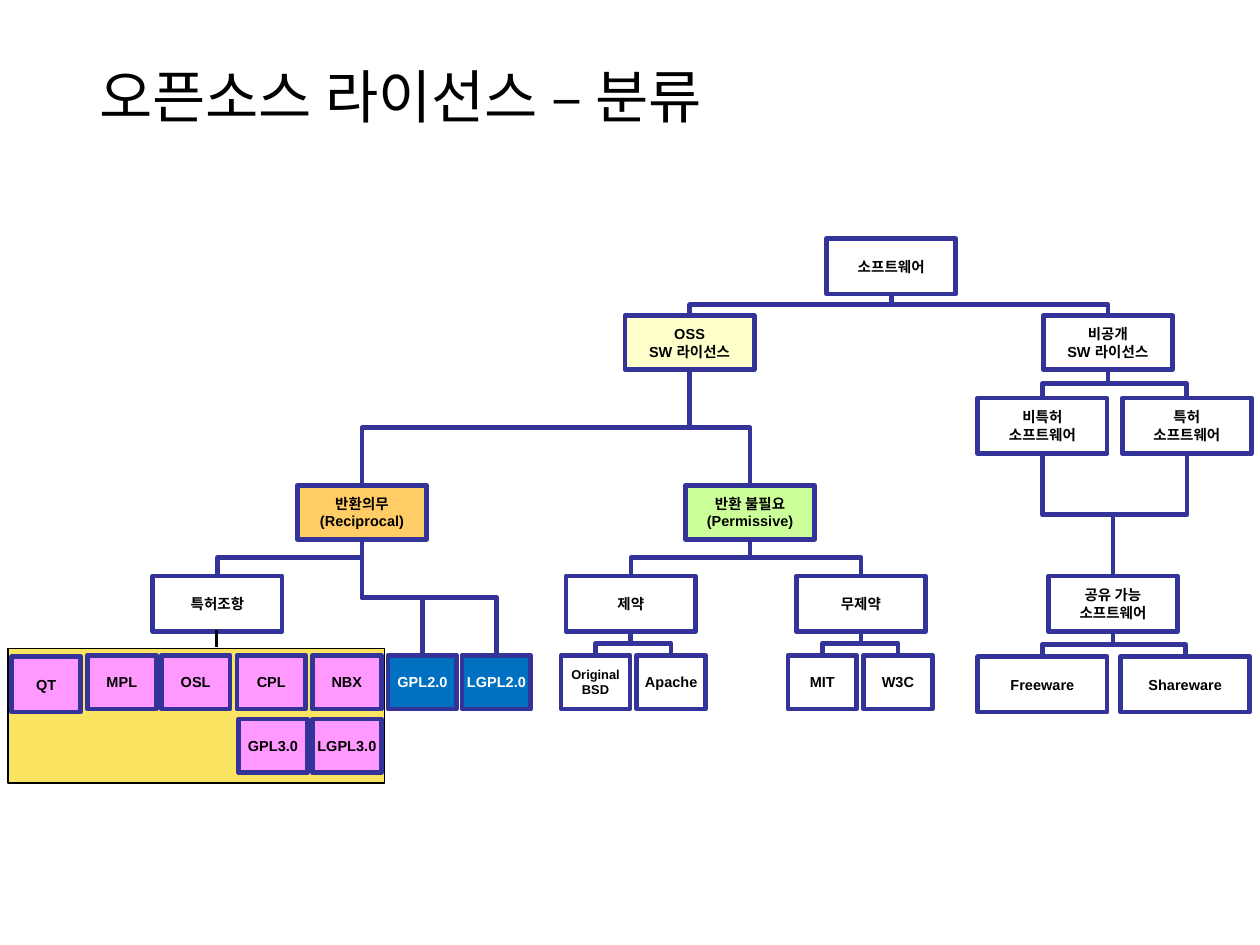
from lxml import etree
from pptx import Presentation
from pptx.dml.color import RGBColor
from pptx.enum.shapes import MSO_CONNECTOR, MSO_SHAPE
from pptx.enum.text import MSO_ANCHOR, MSO_AUTO_SIZE, PP_ALIGN
from pptx.oxml.ns import qn
from pptx.util import Inches, Pt

RECT = MSO_SHAPE.RECTANGLE
ELBOW, STRAIGHT = MSO_CONNECTOR.ELBOW, MSO_CONNECTOR.STRAIGHT
MIDDLE = MSO_ANCHOR.MIDDLE
LEFT, CENTER = PP_ALIGN.LEFT, PP_ALIGN.CENTER
NO_AUTOFIT = MSO_AUTO_SIZE.NONE

LATIN, KOREAN = "Arial", "Noto Sans CJK KR"
NAVY, BLACK, WHITE = "333399", "000000", "FFFFFF"
PINK, BLUE, YELLOW = "FF99FF", "0070C0", "FAE462"
WIDE, NARROW = 0.77, 0.41
TALL, SHORT = 0.33, 0.32

# Categories: key -> (text, left, top, height, fill)
CATEGORIES = {
    "software": ("소프트웨어", 4.92, 1.42, TALL, WHITE),
    "oss": ("OSS\nSW 라이선스", 3.72, 1.88, SHORT, "FFFFCC"),
    "closed": ("비공개\nSW 라이선스", 6.21, 1.88, SHORT, WHITE),
    "unpatented": ("비특허\n소프트웨어", 5.82, 2.37, TALL, WHITE),
    "patented": ("특허\n소프트웨어", 6.68, 2.37, TALL, WHITE),
    "reciprocal": ("반환의무\n(Reciprocal)", 1.77, 2.89, SHORT, "FFCC66"),
    "permissive": ("반환 불필요\n(Permissive)", 4.08, 2.89, SHORT, "CCFF99"),
    "patent clause": ("특허조항", 0.91, 3.43, TALL, WHITE),
    "restricted": ("제약", 3.37, 3.43, TALL, WHITE),
    "unrestricted": ("무제약", 4.74, 3.43, TALL, WHITE),
    "shareable": ("공유 가능\n소프트웨어", 6.24, 3.43, TALL, WHITE),
    "freeware": ("Freeware", 5.82, 3.91, TALL, WHITE),
    "shareware": ("Shareware", 6.67, 3.91, TALL, WHITE),
}

# Licenses: (text, left, top, height, fill)
LICENSES = [
    ("QT", 0.07, 3.91, TALL, PINK),
    ("MPL", 0.52, 3.9, SHORT, PINK),
    ("OSL", 0.96, 3.9, SHORT, PINK),
    ("CPL", 1.41, 3.9, SHORT, PINK),
    ("NBX", 1.86, 3.9, SHORT, PINK),
    ("GPL2.0", 2.31, 3.9, SHORT, BLUE),
    ("LGPL2.0", 2.75, 3.9, SHORT, BLUE),
    ("Original\nBSD", 3.34, 3.9, SHORT, WHITE),
    ("Apache", 3.79, 3.9, SHORT, WHITE),
    ("MIT", 4.69, 3.9, SHORT, WHITE),
    ("W3C", 5.14, 3.9, SHORT, WHITE),
    ("GPL3.0", 1.42, 4.28, SHORT, PINK),
    ("LGPL3.0", 1.86, 4.28, SHORT, PINK),
]

# Branches: upper box -> lower boxes
BRANCHES = {
    "software": ["oss", "closed"],
    "oss": ["reciprocal", "permissive"],
    "closed": ["unpatented", "patented"],
    "unpatented": ["shareable"],
    "patented": ["shareable"],
    "reciprocal": ["patent clause", "GPL2.0", "LGPL2.0"],
    "permissive": ["restricted", "unrestricted"],
    "restricted": ["Original\nBSD", "Apache"],
    "unrestricted": ["MIT", "W3C"],
    "shareable": ["freeware", "shareware"],
}


def rgb(color):
    return RGBColor.from_string(color)


def style_text(p, size, color, latin, bold=False):
    for r in p.runs:
        r.font.size = Pt(size)
        r.font.bold = bold
        r.font.color.rgb = rgb(color)
        r.font.name = latin
        ea = etree.SubElement(r.font._element, qn("a:ea"))
        ea.set("typeface", KOREAN)


def add_title(slide, text):
    s = slide.shapes.title
    s.left, s.top, s.width, s.height = map(Inches, (0.52, 0.3, 6.47, 0.59))
    tf = s.text_frame
    tf.text = text
    tf.auto_size = NO_AUTOFIT
    tf.vertical_anchor = MIDDLE
    tf.margin_left = tf.margin_right = Inches(0.07)
    tf.margin_top = tf.margin_bottom = Inches(0.03)
    p = tf.paragraphs[0]
    p.alignment = LEFT
    p.line_spacing = 0.9
    style_text(p, 24.8, BLACK, KOREAN)


def add_rect(slide, x, y, w, h, fill, line, line_width):
    s = slide.shapes.add_shape(RECT, Inches(x), Inches(y), Inches(w), Inches(h))
    s.shadow.inherit = False
    s.fill.solid()
    s.fill.fore_color.rgb = rgb(fill)
    s.line.color.rgb = rgb(line)
    s.line.width = Pt(line_width)
    return s


def add_box(slide, text, x, y, w, h, fill):
    s = add_rect(slide, x, y, w, h, fill, NAVY, 2)
    tf = s.text_frame
    tf.text = text
    tf.word_wrap = False
    tf.vertical_anchor = MIDDLE
    tf.margin_left = tf.margin_right = tf.margin_top = tf.margin_bottom = 0
    size = 5.5 if text.startswith("Original") else 6.2
    for p in tf.paragraphs:
        p.alignment = CENTER
        style_text(p, size, WHITE if fill == BLUE else BLACK, LATIN, bold=True)
    return s


def add_line(slide, kind, x1, y1, x2, y2, color, width):
    s = slide.shapes.add_connector(kind, x1, y1, x2, y2)
    s.line.color.rgb = rgb(color)
    s.line.width = Pt(width)
    etree.SubElement(s._element.spPr, qn("a:effectLst"))
    return s


def add_branch(slide, upper, lower):
    """Draw an elbow that leaves the upper box downwards, by turning it a quarter."""
    x1, y1 = upper.left + upper.width // 2, upper.top + upper.height
    x2, y2 = lower.left + lower.width // 2, lower.top
    mid_x, mid_y = (x1 + x2) // 2, (y1 + y2) // 2
    half_drop, half_span = (y2 - y1) // 2, abs(x2 - x1) // 2
    side = -1 if x2 > x1 else 1
    s = add_line(slide, ELBOW, mid_x - side * half_drop, mid_y - half_span,
                 mid_x + side * half_drop, mid_y + half_span, NAVY, 2)
    degrees = 270 if x2 > x1 else 90
    s._element.spPr.find(qn("a:xfrm")).set("rot", str(degrees * 60000))


def main():
    # Slide in 4:3 format
    prs = Presentation()
    prs.slide_width = Inches(7.5)
    prs.slide_height = prs.slide_width * 3 // 4
    slide = prs.slides.add_slide(prs.slide_layouts[5])
    add_title(slide, "오픈소스 라이선스 – 분류")

    # Panel behind the licenses with a patent clause
    add_rect(slide, 0.05, 3.86, 2.24, 0.8, YELLOW, BLACK, 0.75)

    # Boxes
    boxes = {}
    for key, (text, x, y, h, fill) in CATEGORIES.items():
        boxes[key] = add_box(slide, text, x, y, WIDE, h, fill)
    for text, x, y, h, fill in LICENSES:
        boxes[text] = add_box(slide, text, x, y, NARROW, h, fill)

    # Connections
    for upper, lowers in BRANCHES.items():
        for lower in lowers:
            add_branch(slide, boxes[upper], boxes[lower])
    add_line(slide, STRAIGHT, Inches(1.29), Inches(3.75),
             Inches(1.29), Inches(3.85), BLACK, 1.5)

    prs.save("out.pptx")


if __name__ == "__main__":
    main()
